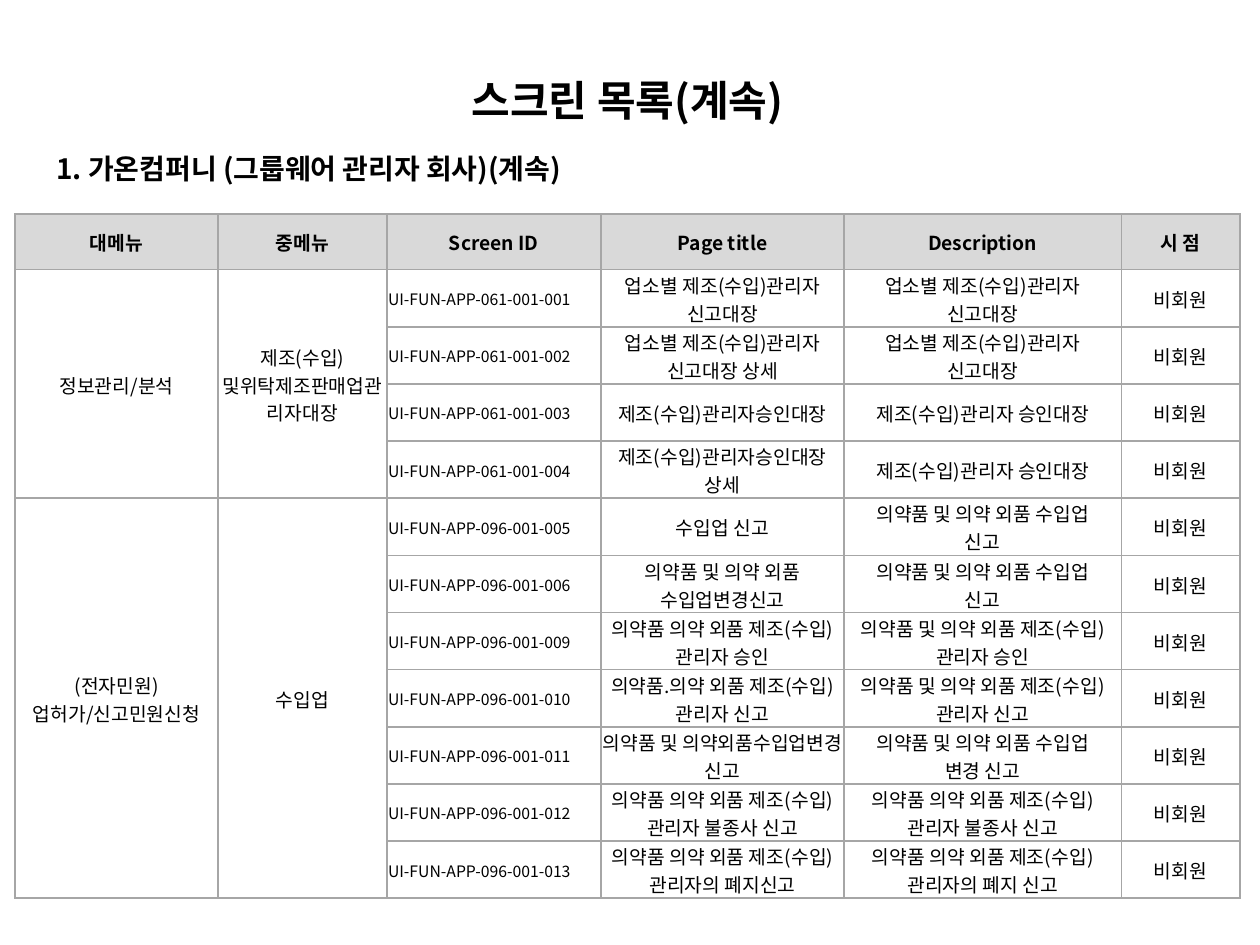
from dataclasses import dataclass

from lxml.etree import SubElement
from pptx import Presentation
from pptx.dml.color import RGBColor
from pptx.enum.text import MSO_ANCHOR as Anchor, PP_ALIGN as Align
from pptx.oxml import parse_xml
from pptx.oxml.ns import nsdecls, qn
from pptx.util import Inches, Pt


@dataclass(frozen=True)
class Theme:
    """Colours, font and type sizes of the slide."""
    font: str = "Noto Sans CJK KR"
    ink: str = "000000"
    header: str = "D9D9D9"
    rule: str = "A6A6A6"
    title: int = 24
    heading: int = 16
    body: int = 11
    code: int = 9
    border: int = 1


GRID_COLUMNS, GRID_ROWS = 1000, 750
HEADERS = ["대메뉴", "중메뉴", "Screen ID", "Page title", "Description", "시 점"]
COLUMN_SPANS = [161, 134, 170, 193, 220, 94]
HEADER_SPAN, ROW_SPAN = 44, 45.36
VIEWER = "비회원"
ID_COLUMN = HEADERS.index("Screen ID")
LEDGER = "업소별 제조(수입)관리자\n신고대장"
APPROVAL = "제조(수입)관리자 승인대장"
IMPORT = "의약품 및 의약 외품 수입업"
MAKER = "의약품 의약 외품 제조(수입)"
BOTH_MAKER = "의약품 및 의약 외품 제조(수입)"

MENUS = [
    ("정보관리/분석", "제조(수입)및위탁제조판매업관리자대장", "061", [
        ("001", LEDGER, LEDGER),
        ("002", f"{LEDGER} 상세", LEDGER),
        ("003", "제조(수입)관리자승인대장", APPROVAL),
        ("004", "제조(수입)관리자승인대장\n상세", APPROVAL),
    ]),
    ("(전자민원) 업허가/신고민원신청", "수입업", "096", [
        ("005", "수입업 신고", f"{IMPORT}\n신고"),
        ("006", f"{IMPORT}변경신고", f"{IMPORT}\n신고"),
        ("009", f"{MAKER}관리자 승인", f"{BOTH_MAKER}\n관리자 승인"),
        ("010", "의약품.의약 외품 제조(수입)관리자 신고", f"{BOTH_MAKER}\n관리자 신고"),
        ("011", "의약품 및 의약외품수입업변경 신고", f"{IMPORT}\n변경 신고"),
        ("012", f"{MAKER}관리자 불종사 신고", f"{MAKER}\n관리자 불종사 신고"),
        ("013", f"{MAKER}관리자의 폐지신고", f"{MAKER}\n관리자의 폐지 신고"),
    ]),
]


class SlideBuilder:
    """Draws styled elements on the current slide of a deck."""

    def __init__(self, theme):
        """Open a deck with one title-only slide."""
        self.theme = theme
        self.deck = Presentation()
        self.deck.slide_width, self.deck.slide_height = Inches(10), Inches(7.5)
        self.page = self.deck.slides.add_slide(self.deck.slide_layouts[5])

    def across(self, columns):
        """Convert grid columns to a length."""
        return round(self.deck.slide_width * columns / GRID_COLUMNS)

    def down(self, rows):
        """Convert grid rows to a length."""
        return round(self.deck.slide_height * rows / GRID_ROWS)

    def area(self, left, top, width, height):
        """Convert a grid area to a position and size."""
        return self.across(left), self.down(top), self.across(width), self.down(height)

    def set_text(self, frame, text, size, bold=False, align=Align.CENTER):
        """Fill a text frame and format its runs."""
        frame.text = text
        frame.word_wrap = True
        for para in frame.paragraphs:
            para.alignment = align
            for span in para.runs:
                span.font.size, span.font.bold = Pt(size), bold
                span.font.color.rgb = RGBColor.from_string(self.theme.ink)
                span.font.name = self.theme.font
                latin = span.font._element.find(qn("a:latin"))
                latin.addnext(parse_xml(
                    f'<a:ea {nsdecls("a")} typeface="{self.theme.font}"/>'))

    def title(self, text, *area):
        """Place and fill the title placeholder."""
        box = self.page.shapes.title
        box.left, box.top, box.width, box.height = self.area(*area)
        self.set_text(box.text_frame, text, self.theme.title, bold=True)
        box.text_frame.vertical_anchor = Anchor.MIDDLE

    def heading(self, text, *area):
        """Add a left-aligned section heading."""
        frame = self.page.shapes.add_textbox(*self.area(*area)).text_frame
        self.set_text(frame, text, self.theme.heading, bold=True, align=Align.LEFT)
        frame.vertical_anchor = Anchor.MIDDLE

    def table(self, left, top, column_spans, row_spans):
        """Add an empty ruled table on the grid."""
        area = self.area(left, top, sum(column_spans), sum(row_spans))
        table = self.page.shapes.add_table(
            len(row_spans), len(column_spans), *area).table
        table.horz_banding = table.first_row = False
        for column, columns in zip(table.columns, column_spans):
            column.width = self.across(columns)
        for row, rows in zip(table.rows, row_spans):
            row.height = self.down(rows)
        for cell in table.iter_cells():
            cell.fill.background()
            self.rule(cell)
        return table

    def rule(self, cell):
        """Draw the four borders of a cell."""
        properties = cell._tc.get_or_add_tcPr()
        for index, side in enumerate(("lnL", "lnR", "lnT", "lnB")):
            line = SubElement(properties, qn(f"a:{side}"),
                              w=str(Pt(self.theme.border)))
            fill = SubElement(line, qn("a:solidFill"))
            SubElement(fill, qn("a:srgbClr"), val=self.theme.rule)
            properties.insert(index, line)

    def header_cell(self, cell, text):
        """Fill a header cell."""
        cell.fill.solid()
        cell.fill.fore_color.rgb = RGBColor.from_string(self.theme.header)
        cell.vertical_anchor = Anchor.MIDDLE
        self.set_text(cell.text_frame, text, self.theme.body, bold=True)

    def body_cell(self, cell, text, is_code=False):
        """Fill a body cell with tight margins."""
        cell.margin_left = cell.margin_right = cell.margin_top = Inches(0.01)
        cell.margin_bottom = 0
        cell.vertical_anchor = Anchor.MIDDLE
        size = self.theme.code if is_code else self.theme.body
        align = Align.LEFT if is_code else Align.CENTER
        self.set_text(cell.text_frame, text, size, align=align)


def fill_screens(builder, table):
    """Fill in the header and the screens of each menu."""
    for column, text in enumerate(HEADERS):
        builder.header_cell(table.cell(0, column), text)
    first = 1
    for menu, submenu, group, screens in MENUS:
        last = first + len(screens) - 1
        for column, text in enumerate((menu, submenu)):
            table.cell(first, column).merge(table.cell(last, column))
            builder.body_cell(table.cell(first, column), text)
        for row, (number, name, description) in enumerate(screens, first):
            texts = (f"UI-FUN-APP-{group}-001-{number}", name, description, VIEWER)
            for column, text in enumerate(texts, ID_COLUMN):
                builder.body_cell(table.cell(row, column), text, column == ID_COLUMN)
        first = last + 1


def main():
    """Build and save the screen list."""
    builder = SlideBuilder(Theme())
    screen_count = sum(len(screens) for *_, screens in MENUS)
    row_spans = [HEADER_SPAN] + [ROW_SPAN] * screen_count
    fill_screens(builder, builder.table(12, 170, COLUMN_SPANS, row_spans))
    builder.title("스크린 목록(계속)", 321, 54, 354, 50)
    builder.heading("1. 가온컴퍼니 (그룹웨어 관리자 회사)(계속)", 35, 115, 520, 37)
    builder.deck.save("out.pptx")


if __name__ == "__main__":
    main()
